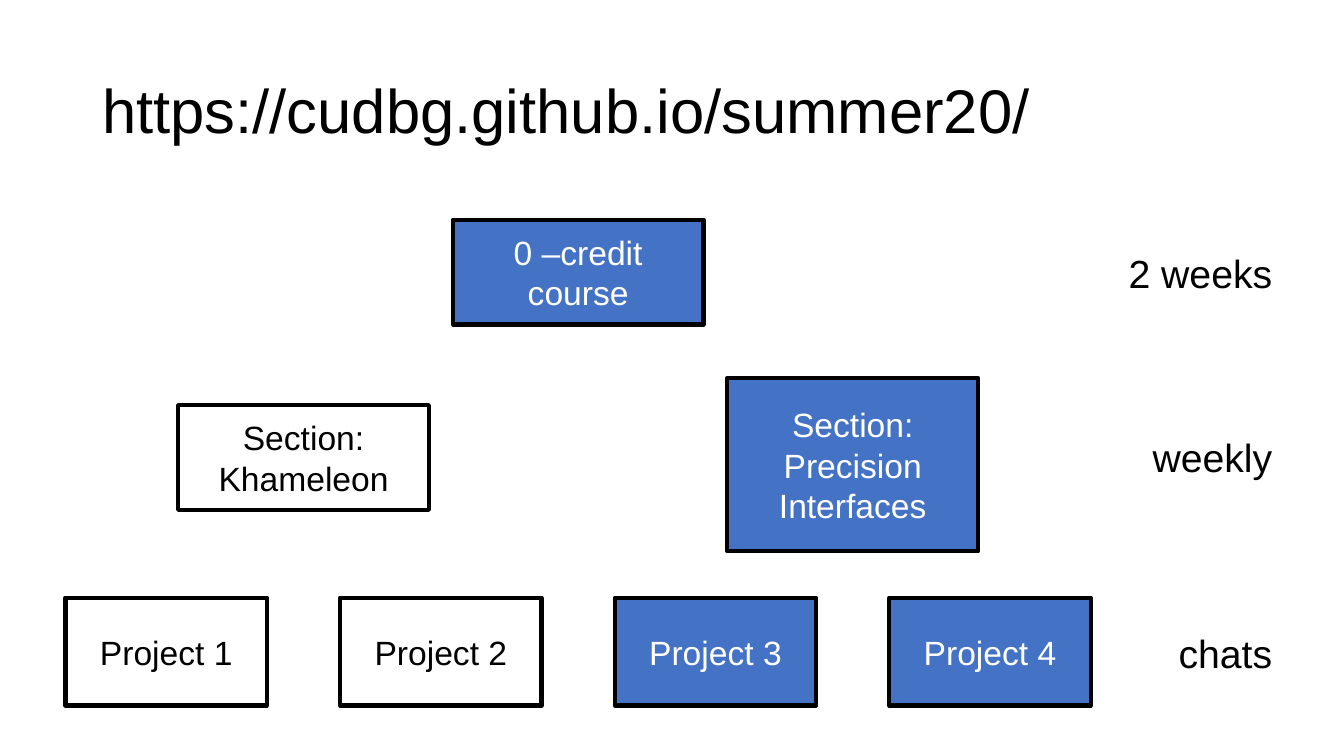
from pptx import Presentation
from pptx.dml.color import RGBColor
from pptx.enum.shapes import MSO_SHAPE as Shape
from pptx.enum.text import MSO_ANCHOR as Anchor, PP_ALIGN as Align
from pptx.util import Cm, Pt

TITLE = "https://cudbg.github.io/summer20/"
BLACK, WHITE, BLUE = "000000", "FFFFFF", "4472C4"

# text, first project below, last project below, middle height, width, height, chosen
BOXES = [
    ("0 –credit course", 0, 3, 6.86, 6.32, 2.64, True),
    ("Section: Khameleon", 0, 1, 11.53, 6.32, 2.64, False),
    ("Section: Precision Interfaces", 2, 3, 11.71, 6.32, 4.37, True),
    ("Project 1", 0, 0, 16.42, 5.08, 2.72, False),
    ("Project 2", 1, 1, 16.42, 5.08, 2.72, False),
    ("Project 3", 2, 2, 16.42, 5.08, 2.72, True),
    ("Project 4", 3, 3, 16.42, 5.08, 2.72, True),
]
RHYTHMS = [("2 weeks", 6.87), ("weekly", 11.52), ("chats", 16.45)]

FIRST_PROJECT, PROJECT_STEP = 4.19, 6.92
RHYTHM_RIGHT, RHYTHM_WIDTH, RHYTHM_HEIGHT = 32.31, 4.5, 1.45


def color(code):
    return RGBColor.from_string(code)


def write(shape, text, size, ink, align):
    frame = shape.text_frame
    frame.text = text
    frame.word_wrap = True
    frame.vertical_anchor = Anchor.MIDDLE
    paragraph = frame.paragraphs[0]
    paragraph.alignment = align
    font = paragraph.runs[0].font
    font.name, font.size = "Arial", Pt(size)
    font.color.rgb = color(ink)
    return paragraph


def add_box(slide, text, first, last, middle, width, height, chosen):
    center = FIRST_PROJECT + PROJECT_STEP * (first + last) / 2
    box = slide.shapes.add_shape(Shape.RECTANGLE, Cm(center - width / 2),
                                 Cm(middle - height / 2), Cm(width), Cm(height))
    box.shadow.inherit = False
    box.line.color.rgb = color(BLACK)
    box.line.width = Pt(3)
    if chosen:
        box.fill.solid()
        box.fill.fore_color.rgb = color(BLUE)
    else:
        box.fill.background()
    write(box, text, 24, WHITE if chosen else BLACK, Align.CENTER)


def main():
    """Build the slide of the summer course, its sections and projects."""
    deck = Presentation()
    deck.slide_width, deck.slide_height = Cm(33.87), Cm(19.05)
    slide = deck.slides.add_slide(deck.slide_layouts[6])

    title = slide.shapes.add_textbox(Cm(2.33), Cm(1.01), Cm(29.21), Cm(3.68))
    write(title, TITLE, 44, BLACK, Align.LEFT).line_spacing = 0.9

    for box in BOXES:
        add_box(slide, *box)

    for text, middle in RHYTHMS:
        rhythm = slide.shapes.add_textbox(
            Cm(RHYTHM_RIGHT - RHYTHM_WIDTH), Cm(middle - RHYTHM_HEIGHT / 2),
            Cm(RHYTHM_WIDTH), Cm(RHYTHM_HEIGHT))
        write(rhythm, text, 28, BLACK, Align.RIGHT)

    deck.save("out.pptx")


if __name__ == "__main__":
    main()
